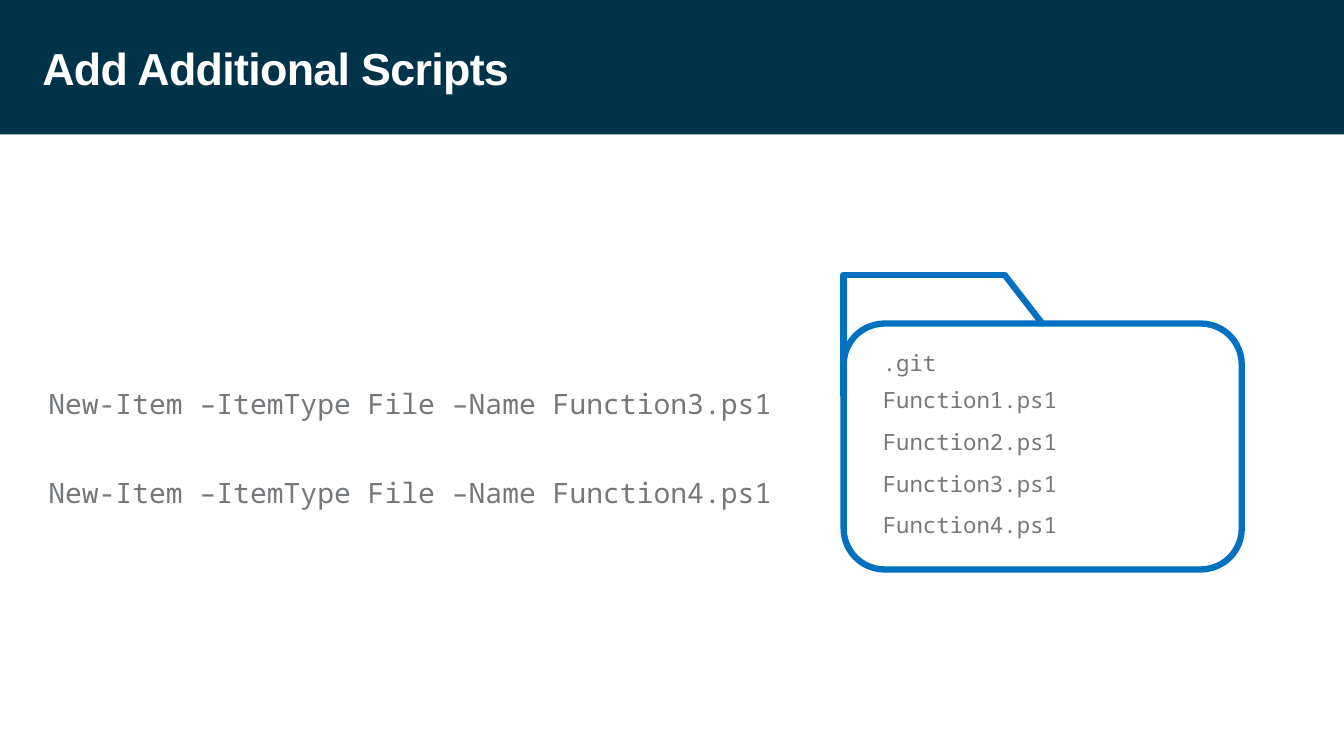
from pptx import Presentation
from pptx.dml.color import RGBColor
from pptx.enum.shapes import MSO_CONNECTOR, MSO_SHAPE
from pptx.enum.text import MSO_ANCHOR
from pptx.oxml.ns import qn
from pptx.util import Pt
from lxml import etree

LINE = MSO_CONNECTOR.STRAIGHT
RECT = MSO_SHAPE.RECTANGLE
ROUND = MSO_SHAPE.ROUNDED_RECTANGLE
MIDDLE = MSO_ANCHOR.MIDDLE

TITLE = "Add Additional Scripts"
CALLS = [
    "New-Item –ItemType File –Name Function3.ps1",
    "New-Item –ItemType File –Name Function4.ps1",
]
REPO = ".git"
FILES = ["Function1.ps1", "Function2.ps1", "Function3.ps1", "Function4.ps1"]

COLORS = {"navy": "003349", "blue": "0070C0", "gray": "75787B", "white": "FFFFFF"}
HEAD = {"name": "Arial", "size": Pt(32), "bold": True}
CODE = {"name": "Noto Sans Mono", "size": Pt(20)}
ITEM = {"name": "Noto Sans Mono", "size": Pt(16)}

WIDE, HIGH = 960, 540
BAR = 96
BODY = (602.6, 231.1, 284.4, 175.7)
TAB_TOP, TAB_FOOT = 196.6, 282.2
TAB_EDGE, TAB_END = 717.8, 744.5
CALL_BOX, CALL_STEP = (27.4, 272.2, 532.8, 31.7), 63.4
FILE_BOX, FILE_STEP = (623.5, 272.2, 156.2, 26.6), 29.8
REPO_TOP = 245.5


def color(key):
    return RGBColor.from_string(COLORS[key])


def add_text(slide, text, box, style, key, pad=None):
    frame = slide.shapes.add_textbox(*map(Pt, box)).text_frame
    frame.word_wrap = True
    frame.vertical_anchor = MIDDLE
    if pad is not None:
        for side in ("left", "top", "right", "bottom"):
            setattr(frame, f"margin_{side}", Pt(pad))
    run = frame.paragraphs[0].add_run()
    run.text = text
    for name, value in style.items():
        setattr(run.font, name, value)
    run.font.color.rgb = color(key)
    return run


def add_list(slide, items, box, step, style):
    left, top, width, height = box
    for i, item in enumerate(items):
        add_text(slide, item, (left, top + i * step, width, height), style, "gray")


def add_bar(slide):
    bar = slide.shapes.add_shape(RECT, 0, 0, Pt(WIDE), Pt(BAR))
    bar.shadow.inherit = False
    bar.fill.solid()
    bar.fill.fore_color.rgb = color("navy")
    bar.line.fill.background()


def set_line(line):
    line.color.rgb = color("blue")
    line.width = Pt(4.5)


def add_folder(slide):
    body = slide.shapes.add_shape(ROUND, *map(Pt, BODY))
    body.shadow.inherit = False
    body.fill.background()
    set_line(body.line)
    left, top = BODY[:2]
    ends = [(left, TAB_FOOT), (left, TAB_TOP), (TAB_EDGE, TAB_TOP), (TAB_END, top)]
    for start, end in zip(ends, ends[1:]):
        edge = slide.shapes.add_connector(LINE, *map(Pt, start + end))
        set_line(edge.line)
        props = edge._element.spPr
        props.find(qn("a:ln")).set("cap", "rnd")
        etree.SubElement(props, qn("a:effectLst"))


def main():
    deck = Presentation()
    deck.slide_width, deck.slide_height = Pt(WIDE), Pt(HIGH)
    slide = deck.slides.add_slide(deck.slide_layouts[6])
    add_bar(slide)
    title = add_text(slide, TITLE, (30.2, 18, 761.8, 61.2), HEAD, "white", pad=0)
    title._r.get_or_add_rPr().set("spc", "-50")
    add_folder(slide)
    left, top, width, height = FILE_BOX
    add_text(slide, REPO, (left, REPO_TOP, width, height), ITEM, "gray")
    add_list(slide, FILES, FILE_BOX, FILE_STEP, ITEM)
    add_list(slide, CALLS, CALL_BOX, CALL_STEP, CODE)
    deck.save("out.pptx")


if __name__ == "__main__":
    main()
